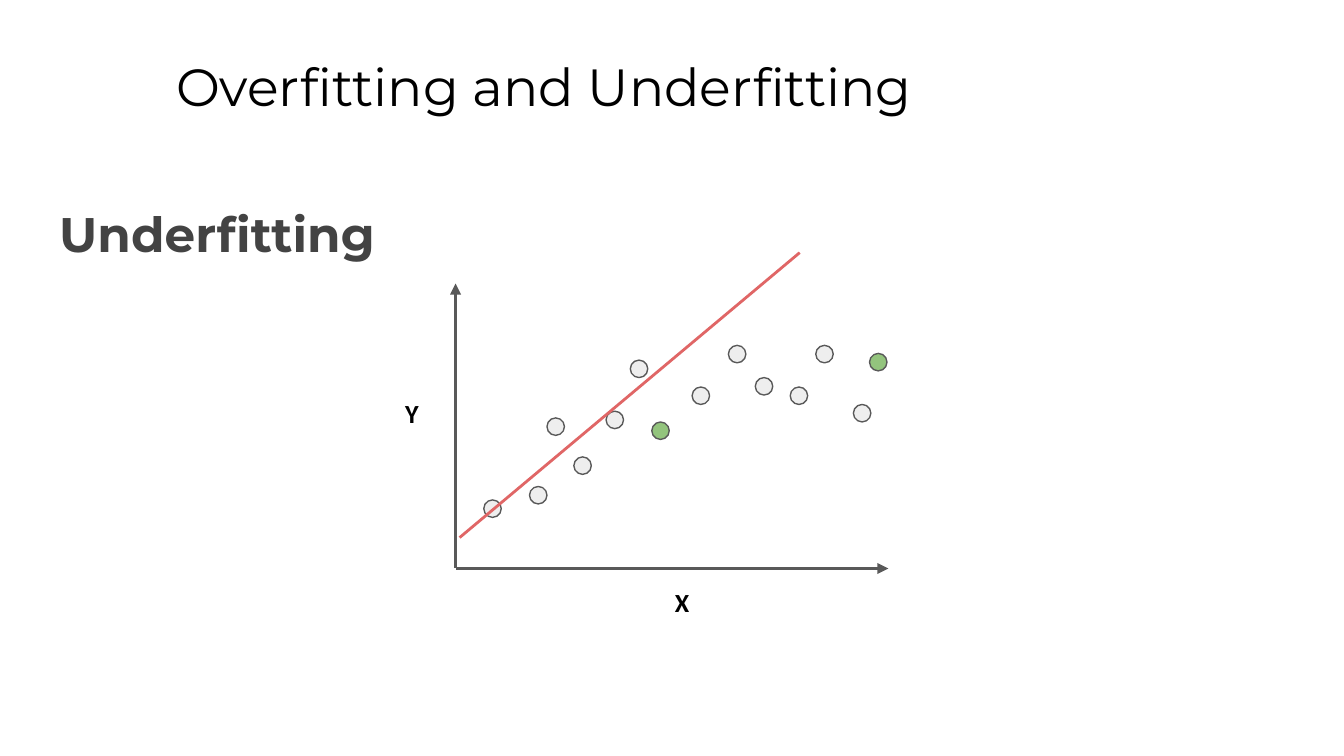
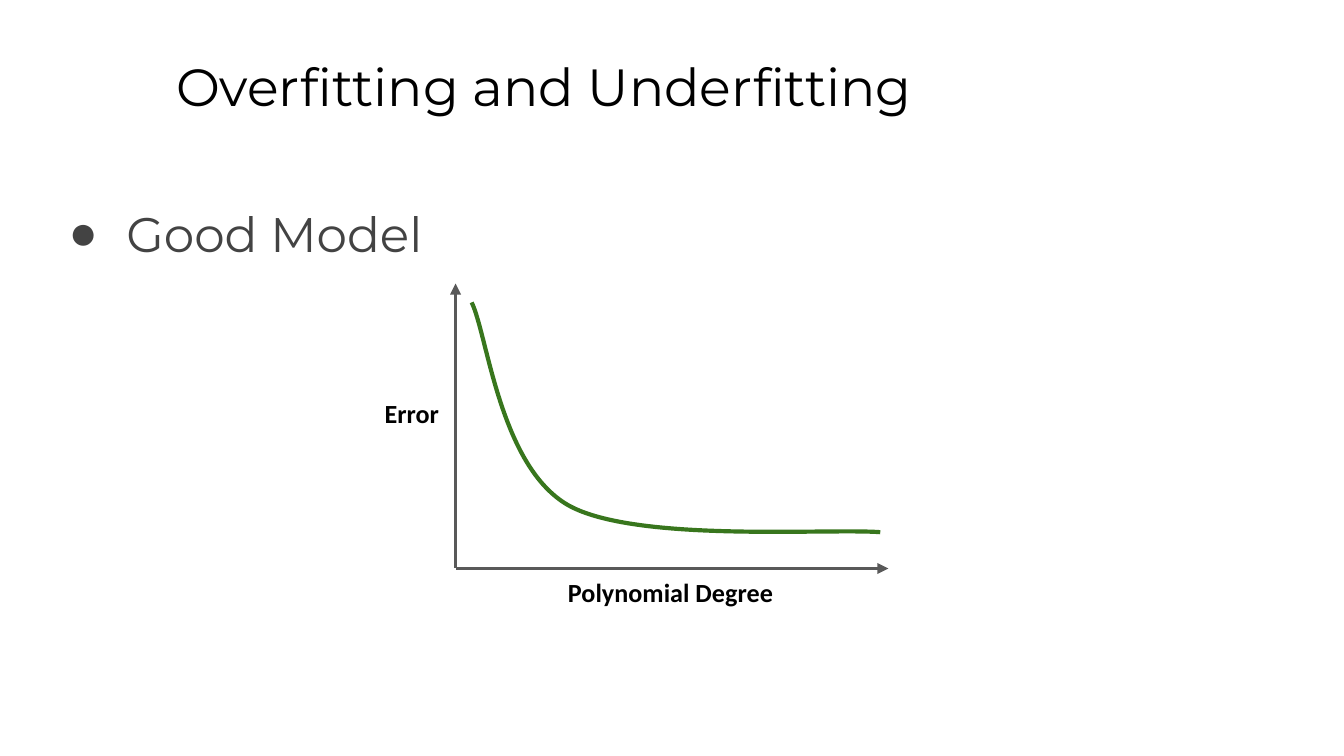
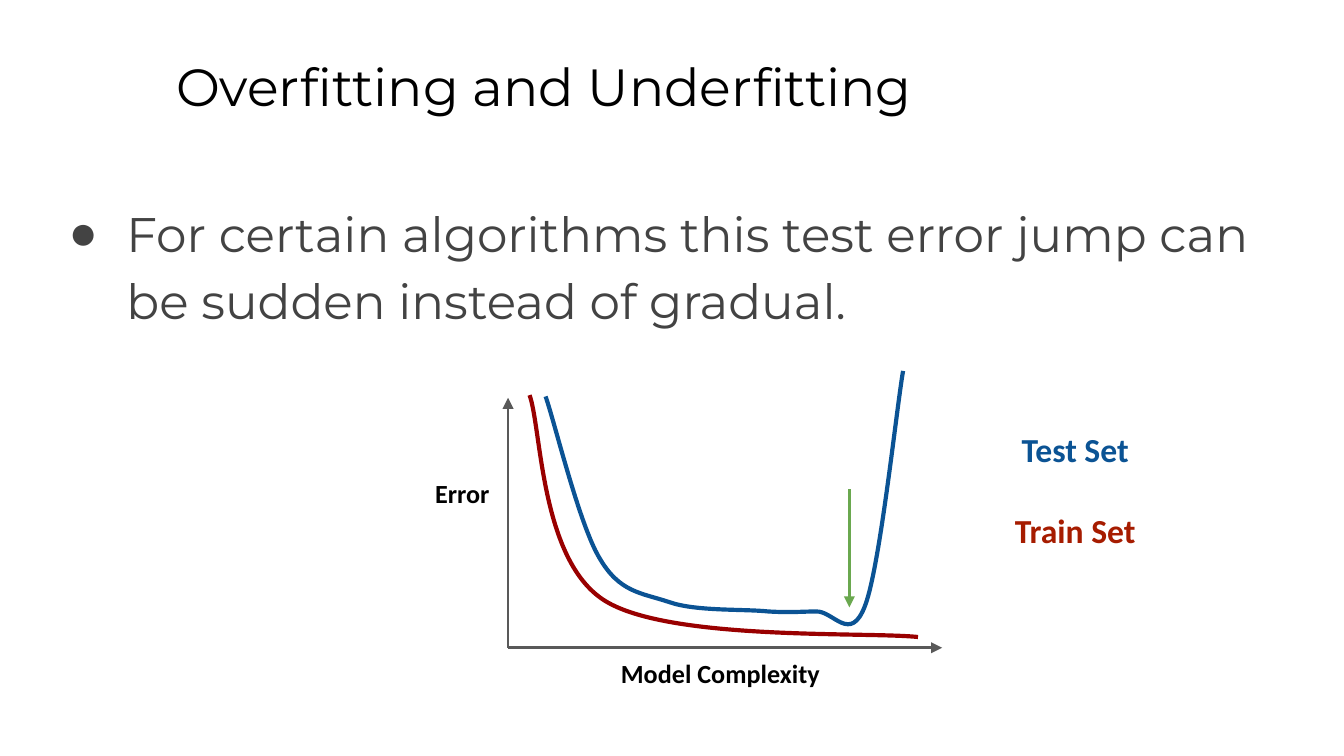
import pptx
import pptx.util
import pptx.dml.color
import pptx.enum.shapes
import pptx.enum.text
import pptx.oxml.ns
import lxml.etree

Inches, Pt = pptx.util.Inches, pptx.util.Pt
RGB = pptx.dml.color.RGBColor.from_string
qn = pptx.oxml.ns.qn
ALIGN = pptx.enum.text.PP_ALIGN

COLORS = {
    "title": "000000", "body": "434343", "axis": "595959", "label": "000000",
    "dot": "EEEEEE", "new_dot": "93C47D", "fit": "E06666", "good": "38761D",
    "train": "990000", "train_text": "A61C00", "test": "0B5394", "marker": "6AA84F",
}
TITLE = {"name": "Montserrat", "size": Pt(28), "bold": False}
HEADING = {"name": "Montserrat", "size": Pt(26), "bold": True}
BULLET = {"name": "Montserrat", "size": Pt(26), "bold": False}
LABEL = {"name": "Calibri", "size": Pt(14), "bold": True}
LEGEND = {"name": "Calibri", "size": Pt(18), "bold": True}
FRAME = {"word_wrap": True, "auto_size": pptx.enum.text.MSO_AUTO_SIZE.NONE,
         "vertical_anchor": pptx.enum.text.MSO_ANCHOR.TOP,
         "margin_left": Inches(0.1), "margin_right": Inches(0.1),
         "margin_top": Inches(0.1), "margin_bottom": Inches(0.1)}


def add_text(sp, box, lines, font, align):
    """Place a text shape and fill it with (text, colour) paragraphs."""
    sp.left, sp.top, sp.width, sp.height = [Inches(v) for v in box]
    tf = sp.text_frame
    for key, value in FRAME.items():
        setattr(tf, key, value)
    for i, (text, color) in enumerate(lines):
        p = tf.add_paragraph() if i else tf.paragraphs[0]
        p.alignment = align
        p.space_before = Pt(22 if i else 0)
        r = p.add_run()
        r.text = text
        for key, value in font.items():
            setattr(r.font, key, value)
        r.font.color.rgb = RGB(COLORS[color])
    return tf.paragraphs[0]


def add_line(s, start, end, color, arrow=True):
    """Draw a straight line, with the arrowhead at its start."""
    sp = s.shapes.add_connector(pptx.enum.shapes.MSO_CONNECTOR.STRAIGHT,
                                *[Inches(v) for v in start + end])
    sp.line.color.rgb = RGB(COLORS[color])
    sp.line.width = Pt(1.5)
    spPr = sp._element.spPr
    if arrow:
        lxml.etree.SubElement(spPr.find(qn("a:ln")), qn("a:headEnd"), type="triangle")
    lxml.etree.SubElement(spPr, qn("a:effectLst"))


prs = pptx.Presentation()
prs.slide_width, prs.slide_height = Inches(10), Inches(5.625)

# Per slide: body text, bulleted or not, axes, axis labels, Bezier curves
pages = [
    {"body": "Underfitting", "bullet": False,
     "origin": (3.39, 4.23), "top": 2.11, "right": 6.61,
     "labels": [("Y", (2.71, 2.86, 0.71, 0.49)), ("X", (4.72, 4.26, 0.71, 0.49))],
     "curves": []},
    {"body": "Good Model", "bullet": True,
     "origin": (3.39, 4.23), "top": 2.11, "right": 6.61,
     "labels": [("Error", (2.71, 2.86, 0.71, 0.49)),
                ("Polynomial Degree", (4.01, 4.19, 1.96, 0.49))],
     "curves": [("good", [(3.51, 2.25), (3.63, 2.5), (3.72, 3.47), (4.23, 3.76),
                          (4.73, 4.04), (6.16, 3.93), (6.55, 3.96)])]},
    {"body": "For certain algorithms this test error jump can be sudden instead of gradual.",
     "bullet": True,
     "origin": (3.78, 4.82), "top": 2.96, "right": 7.01,
     "labels": [("Error", (2.99, 3.45, 0.9, 0.49)),
                ("Model Complexity", (4.25, 4.79, 2.22, 0.49))],
     "curves": [("train", [(3.94, 2.94), (4.03, 3.19), (4.02, 4.17), (4.5, 4.47),
                           (4.98, 4.77), (6.44, 4.7), (6.83, 4.74)]),
                ("test", [(4.06, 2.95), (4.13, 3.15), (4.31, 3.9), (4.46, 4.15),
                          (4.61, 4.41), (4.77, 4.41), (4.98, 4.48),
                          (5.18, 4.55), (5.53, 4.53), (5.72, 4.55),
                          (5.9, 4.56), (5.95, 4.55), (6.07, 4.55),
                          (6.2, 4.54), (6.33, 4.8), (6.44, 4.5),
                          (6.55, 4.2), (6.67, 3.05), (6.72, 2.76)])]},
]

for page in pages:
    s = prs.slides.add_slide(prs.slide_layouts[1])

    # Title and body
    add_text(s.shapes.title, (1.21, 0.3, 9.32, 0.66),
             [("Overfitting and Underfitting", "title")], TITLE, ALIGN.LEFT)
    p = add_text(s.placeholders[1], (0.34, 1.35, 9.32, 3.65), [(page["body"], "body")],
                 BULLET if page["bullet"] else HEADING, ALIGN.LEFT)
    p.line_spacing = 1.15
    p.space_after = Pt(0 if page["bullet"] else 16)
    pPr = p._p.get_or_add_pPr()
    pPr.set("marL", str(Inches(0.5 if page["bullet"] else 0)))
    pPr.set("indent", str(Inches(-0.43 if page["bullet"] else 0)))
    if page["bullet"]:
        clr = lxml.etree.SubElement(pPr, qn("a:buClr"))
        lxml.etree.SubElement(clr, qn("a:srgbClr"), val=COLORS["body"])
        lxml.etree.SubElement(pPr, qn("a:buChar"), char="●")
    else:
        lxml.etree.SubElement(pPr, qn("a:buNone"))

    # Axes and their labels
    x0, y0 = page["origin"]
    add_line(s, (x0, page["top"]), (x0, y0), "axis")
    add_line(s, (page["right"], y0), (x0, y0), "axis")
    for text, box in page["labels"]:
        add_text(s.shapes.add_textbox(0, 0, 0, 0), box, [(text, "label")], LABEL, ALIGN.CENTER)

    # Curves: join the anchor points, then turn each segment into a cubic Bezier
    for color, pts in page["curves"]:
        pts = [(Inches(x), Inches(y)) for x, y in pts]
        fb = s.shapes.build_freeform(*pts[0])
        fb.add_line_segments(pts[3::3], close=False)
        sp = fb.convert_to_shape()
        for i, seg in enumerate(list(sp._element.iter(qn("a:lnTo")))):
            bez = lxml.etree.Element(qn("a:cubicBezTo"))
            for x, y in pts[3 * i + 1:3 * i + 4]:
                lxml.etree.SubElement(bez, qn("a:pt"), x=str(x - sp.left), y=str(y - sp.top))
            seg.getparent().replace(seg, bez)
        sp.shadow.inherit = False
        sp.fill.background()
        sp.line.color.rgb = RGB(COLORS[color])
        sp.line.width = Pt(2.25)

# Slide 1: data points and the straight fit
s = prs.slides[0]
dots = {
    "dot": [(3.94, 3.62), (4.07, 3.11), (4.51, 3.06), (4.69, 2.68), (5.15, 2.88), (5.42, 2.57),
            (5.88, 2.88), (5.62, 2.81), (6.07, 2.57), (6.35, 3.01), (4.27, 3.4), (3.6, 3.72)],
    "new_dot": [(4.85, 3.14), (6.47, 2.63)],
}
for color, places in dots.items():
    for x, y in places:
        sp = s.shapes.add_shape(pptx.enum.shapes.MSO_SHAPE.OVAL,
                                Inches(x), Inches(y), Inches(0.13), Inches(0.13))
        sp.shadow.inherit = False
        sp.fill.solid()
        sp.fill.fore_color.rgb = RGB(COLORS[color])
        sp.line.color.rgb = RGB(COLORS["axis"])
        sp.line.width = Pt(0.75)
add_line(s, (3.42, 4), (5.95, 1.88), "fit", arrow=False)

# Slide 3: marker arrow and legend
s = prs.slides[2]
add_line(s, (6.32, 4.52), (6.32, 3.64), "marker")
add_text(s.shapes.add_textbox(0, 0, 0, 0), (6.89, 3.09, 2.22, 0.49),
         [("Test Set", "test"), ("Train Set", "train_text")], LEGEND, ALIGN.CENTER)

prs.save("out.pptx")
